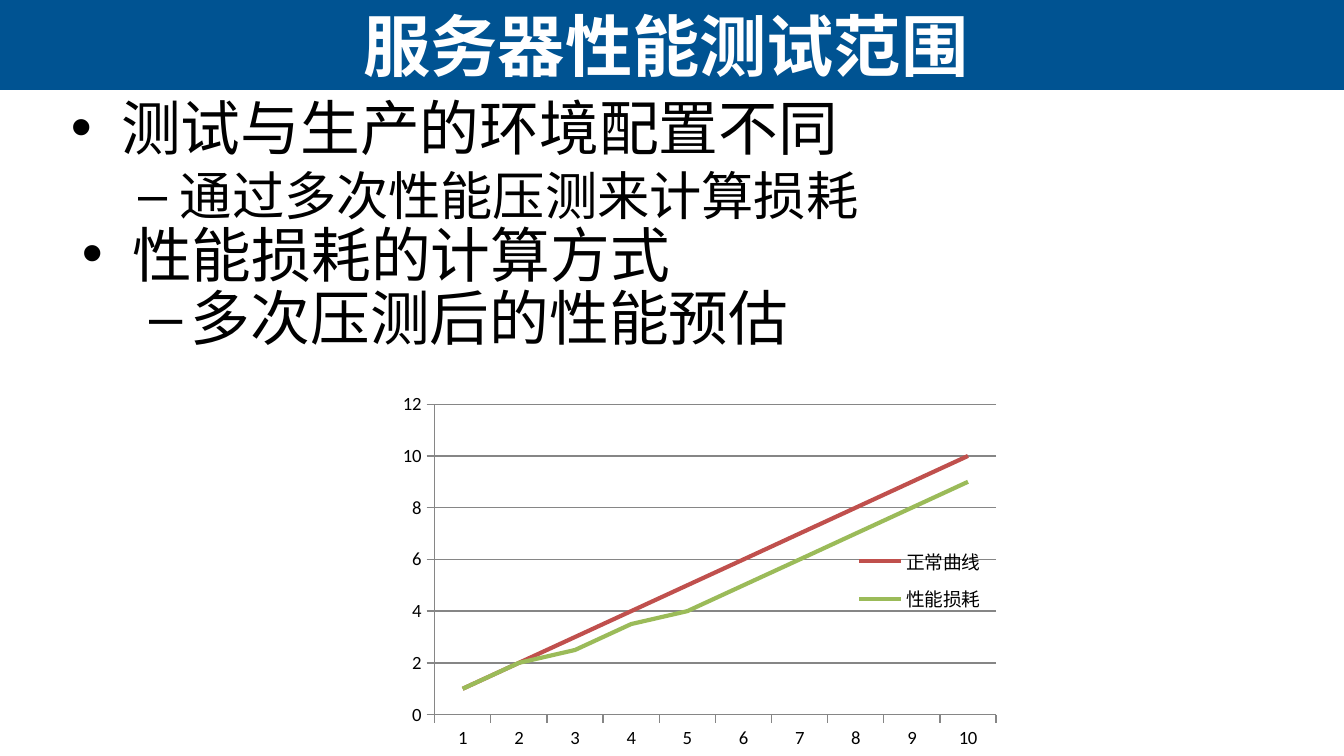
from lxml import etree
from pptx import Presentation
from pptx import util as u
from pptx.chart import data as chart_data
from pptx.dml import color
from pptx.enum import chart as charts, shapes, text
from pptx.oxml import ns

BLUE = color.RGBColor(0x00, 0x53, 0x92)
WHITE = color.RGBColor(0xFF, 0xFF, 0xFF)
BLACK = color.RGBColor(0x00, 0x00, 0x00)
GRAY = color.RGBColor(0x86, 0x86, 0x86)
RED = color.RGBColor(0xC0, 0x50, 0x4D)
GREEN = color.RGBColor(0x9B, 0xBB, 0x59)


def apply_format(target, values):
    for name, value in values.items():
        setattr(target, name, value)


def add_layout(parent, position, values):
    layout = parent.find(ns.qn("c:layout"))
    if layout is None:
        layout = etree.Element(ns.qn("c:layout"))
        parent.insert(position, layout)
    manual = etree.SubElement(layout, ns.qn("c:manualLayout"))
    for name, value in values.items():
        etree.SubElement(manual, ns.qn("c:" + name)).set("val", str(value))


deck = Presentation()
apply_format(deck, {"slide_width": u.Cm(25.4), "slide_height": u.Cm(14.29)})
page = deck.slides.add_slide(deck.slide_layouts[6])

banner = page.shapes.add_shape(shapes.MSO_SHAPE.RECTANGLE, 0, 0, u.Cm(25.4), u.Cm(1.7))
banner.shadow.inherit = False
banner.fill.solid()
banner.fill.fore_color.rgb = BLUE
banner.line.fill.background()

title = page.shapes.add_textbox(u.Cm(0.05), 0, u.Cm(25.07), u.Cm(1.7))
apply_format(title.text_frame, {"word_wrap": True, "vertical_anchor": text.MSO_ANCHOR.MIDDLE})
para = title.text_frame.paragraphs[0]
para.alignment = text.PP_ALIGN.CENTER
span = para.add_run()
span.text = "服务器性能测试范围"
apply_format(span.font, {"size": u.Pt(36), "name": "Arial", "bold": True})
span.font.color.rgb = WHITE

levels = [
    {"bullet": "•", "margin": u.Cm(0.95), "indent": u.Cm(-0.95)},
    {"bullet": "–", "margin": u.Cm(2.06), "indent": u.Cm(-0.79)},
]
outlines = [
    (1.09, 1.75, [("测试与生产的环境配置不同", 32), ("通过多次性能压测来计算损耗", 28)]),
    (1.3, 4.14, [("性能损耗的计算方式", 32), ("多次压测后的性能预估", 32)]),
]
for left, top, lines in outlines:
    box = page.shapes.add_textbox(u.Cm(left), u.Cm(top), u.Cm(22.86), u.Cm(9.42))
    frame = box.text_frame
    frame.word_wrap = True
    for level, (words, size) in enumerate(lines):
        para = frame.add_paragraph() if level else frame.paragraphs[0]
        apply_format(para, {"level": level, "line_spacing": u.Pt(34), "space_before": u.Pt(0)})
        style = levels[level]
        props = para._p.get_or_add_pPr()
        props.set("marL", str(style["margin"]))
        props.set("indent", str(style["indent"]))
        etree.SubElement(props, ns.qn("a:buFont")).set("typeface", "Arial")
        etree.SubElement(props, ns.qn("a:buChar")).set("char", style["bullet"])
        span = para.add_run()
        span.text = words
        apply_format(span.font, {"size": u.Pt(size), "name": "Calibri"})
        span.font.color.rgb = BLACK

curves = [
    ("正常曲线", RED, list(range(1, 11))),
    ("性能损耗", GREEN, [1, 2, 2.5, 3.5, 4, 5, 6, 7, 8, 9]),
]
data = chart_data.CategoryChartData()
data.categories = [str(number) for number in range(1, 11)]
for name, _, values in curves:
    data.add_series(name, values)
chart = page.shapes.add_chart(
    charts.XL_CHART_TYPE.LINE, u.Cm(4.29), u.Cm(7.14), u.Cm(14.55), u.Cm(7.16), data
).chart
apply_format(chart, {"has_title": False, "has_legend": True})
apply_format(chart.font, {"size": u.Pt(10), "name": "Calibri"})
chart.font.color.rgb = BLACK
chart.plots[0].vary_by_categories = False

for series, (_, shade, _) in zip(chart.plots[0].series, curves):
    series.smooth = False
    series.marker.style = charts.XL_MARKER_STYLE.NONE
    series.format.line.width = u.Pt(2.25)
    series.format.line.color.rgb = shade

apply_format(chart.value_axis, {"minimum_scale": 0, "maximum_scale": 12, "major_unit": 2,
                                "has_major_gridlines": True})
for axis in (chart.category_axis, chart.value_axis):
    axis.major_tick_mark = charts.XL_TICK_MARK.OUTSIDE
for part in (chart.category_axis, chart.value_axis, chart.value_axis.major_gridlines):
    part.format.line.width = u.Pt(0.75)
    part.format.line.color.rgb = GRAY

apply_format(chart.legend, {"position": charts.XL_LEGEND_POSITION.RIGHT, "include_in_layout": True})
edges = {"xMode": "edge", "yMode": "edge"}
add_layout(chart.legend._element, 1, {**edges, "x": 0.8, "y": 0.42, "w": 0.2, "h": 0.23})
plot_area = chart._chartSpace.chart.plotArea
add_layout(plot_area, 0, {"layoutTarget": "inner", **edges, "x": 0.27, "y": 0.07, "w": 0.73, "h": 0.82})

deck.save("out.pptx")
